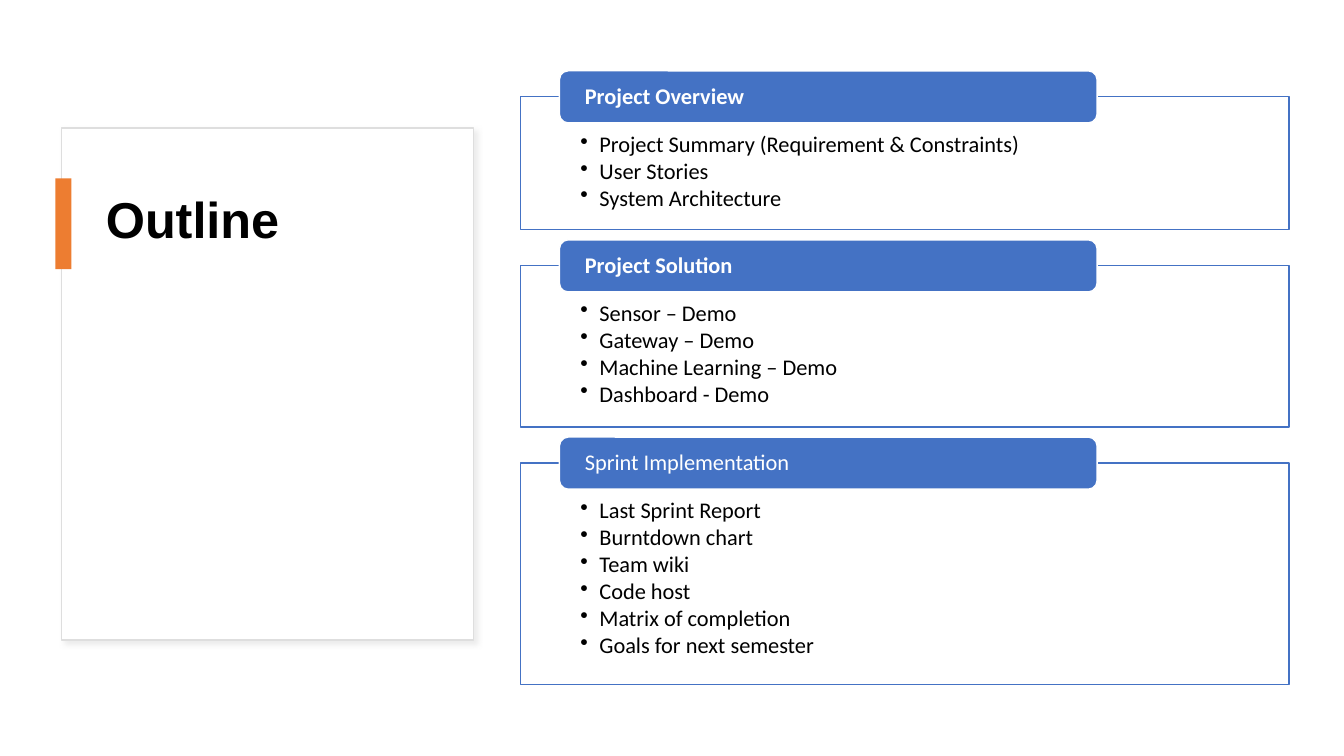
from dataclasses import dataclass

from pptx import Presentation
from pptx.dml.color import RGBColor
from pptx.enum.shapes import MSO_SHAPE as Shape
from pptx.enum.text import MSO_ANCHOR as Anchor, MSO_AUTO_SIZE as AutoSize, PP_ALIGN as Align
from pptx.oxml import parse_xml
from pptx.oxml.ns import nsdecls
from pptx.oxml.xmlchemy import OxmlElement
from pptx.util import Inches, Pt


@dataclass(frozen=True)
class Theme:
    black: RGBColor = RGBColor(0x00, 0x00, 0x00)
    white: RGBColor = RGBColor(0xFF, 0xFF, 0xFF)
    blue: RGBColor = RGBColor(0x44, 0x72, 0xC4)
    orange: RGBColor = RGBColor(0xED, 0x7D, 0x31)
    border: RGBColor = RGBColor(0xDE, 0xDE, 0xDE)
    shadow: RGBColor = RGBColor(0xD9, 0xD9, 0xD9)
    title_font: str = "Arial"
    body_font: str = "Calibri"
    title_size: Pt = Pt(36)
    body_size: Pt = Pt(16)
    line_width: Pt = Pt(1)


theme = Theme()
COLUMNS, ROWS = 80, 45
deck = Presentation()
deck.slide_width, deck.slide_height = Inches(13.333), Inches(7.5)
unit = deck.slide_height / ROWS
page = deck.slides.add_slide(deck.slide_layouts[5])


def add_block(kind, left, top, width, height, fill, line=None):
    block = page.shapes.add_shape(kind, *(int(n * unit) for n in (left, top, width, height)))
    block.shadow.inherit = False
    block.fill.solid()
    block.fill.fore_color.rgb = fill
    if line is None:
        block.line.fill.background()
    else:
        block.line.color.rgb = line
        block.line.width = theme.line_width
    return block


def write_lines(box, lines, font, size, color, bold=False, insets=(0.6, 0.3, 0.6, 0.3),
                anchor=Anchor.TOP, bullet_indent=0, space_after=0):
    frame = box.text_frame
    frame.word_wrap = True
    frame.auto_size = AutoSize.NONE
    frame.vertical_anchor = anchor
    frame.margin_left, frame.margin_top, frame.margin_right, frame.margin_bottom = (
        int(inset * unit) for inset in insets)
    frame.text = "\n".join(lines)
    for para in frame.paragraphs:
        para.alignment = Align.LEFT
        para.line_spacing = 0.9
        para.space_after = Pt(space_after)
        if bullet_indent:
            properties = para._p.get_or_add_pPr()
            properties.set("marL", str(int(bullet_indent * unit)))
            properties.set("indent", str(int(-bullet_indent * unit)))
            bullet = OxmlElement("a:buChar")
            bullet.set("char", "•")
            properties.append(bullet)
        para.font.name = font
        para.font.size = size
        para.font.bold = bold
        para.font.color.rgb = color


card = add_block(Shape.RECTANGLE, 3.66, 7.62, 24.54, 30.48, theme.white, theme.border)
effects = card.element.spPr.find("{*}effectLst")
effects.append(parse_xml(
    f'<a:outerShdw {nsdecls("a")} blurRad="{Pt(4)}" dist="{Pt(3)}" dir="2700000" algn="tl" '
    f'rotWithShape="0"><a:srgbClr val="{theme.shadow}"><a:alpha val="50000"/></a:srgbClr>'
    '</a:outerShdw>'))

title = page.shapes.title
title.left, title.top, title.width, title.height = (
    int(n * unit) for n in (5.7, 11.28, 20.34, 23.1))
write_lines(title, ["Outline"], theme.title_font, theme.title_size, theme.black, bold=True)
card.element.addnext(title.element)

add_block(Shape.RECTANGLE, 3.3, 10.62, 0.96, 5.4, theme.orange)

sections = [
    ("Project Overview", True, 7.92, [
        "Project Summary (Requirement & Constraints)", "User Stories", "System Architecture"]),
    ("Project Solution", True, 9.6, [
        "Sensor – Demo", "Gateway – Demo", "Machine Learning – Demo", "Dashboard - Demo"]),
    ("Sprint Implementation", False, 13.2, [
        "Last Sprint Report", "Burntdown chart", "Team wiki", "Code host",
        "Matrix of completion", "Goals for next semester"]),
]
PANEL_LEFT, PANEL_WIDTH, PANEL_GAP = 31, 45.72, 2.14
TAB_INDENT, TAB_RISE, TAB_WIDTH, TAB_HEIGHT = 2.3, 1.54, 32, 3.1

panel_top = 5.76
for heading, bold, panel_height, items in sections:
    panel = add_block(Shape.RECTANGLE, PANEL_LEFT, panel_top, PANEL_WIDTH, panel_height,
                      theme.white, theme.blue)
    alpha = OxmlElement("a:alpha")
    alpha.set("val", "90000")
    panel.element.spPr.find("{*}solidFill")[0].append(alpha)
    write_lines(panel, items, theme.body_font, theme.body_size, theme.black,
                insets=(3.54, 2.16, 3.54, 0.72), bullet_indent=1.14, space_after=2)
    tab = add_block(Shape.ROUNDED_RECTANGLE, PANEL_LEFT + TAB_INDENT, panel_top - TAB_RISE,
                    TAB_WIDTH, TAB_HEIGHT, theme.blue, theme.white)
    write_lines(tab, [heading], theme.body_font, theme.body_size, theme.white, bold=bold,
                insets=(1.36, 0, 1.36, 0), anchor=Anchor.MIDDLE)
    panel_top += panel_height + PANEL_GAP

deck.save("out.pptx")
